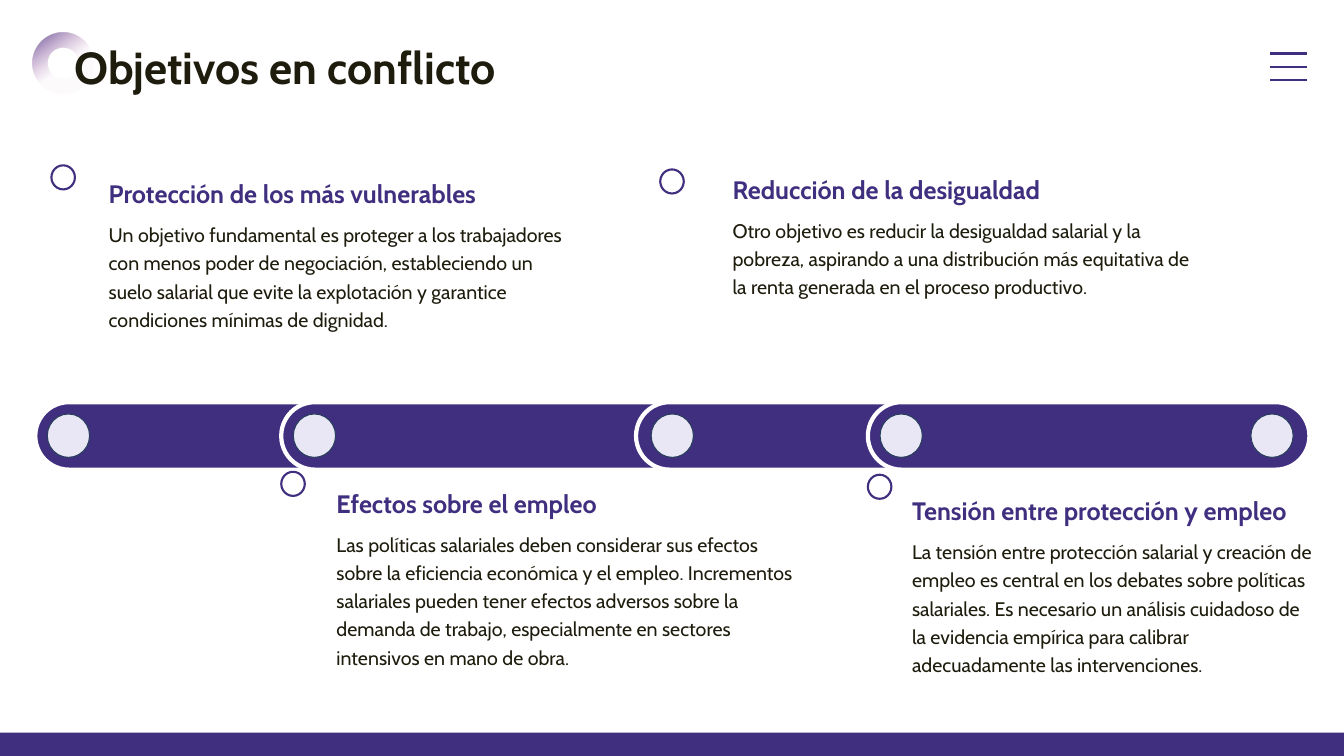
import pptx
import pptx.util
import pptx.dml.color
import pptx.enum.shapes
import pptx.enum.text
import lxml.etree
from dataclasses import dataclass

Pt = pptx.util.Pt
Shape = pptx.enum.shapes.MSO_SHAPE


@dataclass(frozen=True)
class Theme:
    font: str = "Cabin"
    purple: str = "402E7F"
    pink: str = "BC7DB7"
    lavender: str = "E9E7F6"
    slate: str = "273F5B"
    ink: str = "1E1C0D"
    white: str = "FFFFFF"
    title_size: int = 32
    heading_size: int = 18
    body_size: int = 14


THEME = Theme()
PAGE_WIDTH, PAGE_HEIGHT = 960, 540
TRACK = (25.2, 287.3, 910.1, 48.2)
SEGMENTS = [(0, 272.9), (175.7, 305.3), (429.1, 272.9), (594.7, 315.4)]
MARKERS = [8.6, 184.3, 439.9, 603.4, 868.3]

OBJECTIVES = [
    ((36.7, 118.1), (70.6, 123.8, 345.6, 156.8), "Protección de los más vulnerables",
     "Un objetivo fundamental es proteger a los trabajadores con menos poder de negociación, "
     "estableciendo un suelo salarial que evite la explotación y garantice condiciones mínimas "
     "de dignidad."),
    ((471.6, 121), (516.2, 120.7, 345.6, 156.8), "Reducción de la desigualdad",
     "Otro objetivo es reducir la desigualdad salarial y la pobreza, aspirando a una "
     "distribución más equitativa de la renta generada en el proceso productivo."),
    ((200.9, 337), (233.3, 345, 345.6, 156.8), "Efectos sobre el empleo",
     "Las políticas salariales deben considerar sus efectos sobre la eficiencia económica y el "
     "empleo. Incrementos salariales pueden tener efectos adversos sobre la demanda de trabajo, "
     "especialmente en sectores intensivos en mano de obra."),
    ((619.9, 339.1), (644.4, 350.3, 302.4, 156.8), "Tensión entre protección y empleo",
     "La tensión entre protección salarial y creación de empleo es central en los debates sobre "
     "políticas salariales. Es necesario un análisis cuidadoso de la evidencia empírica para "
     "calibrar adecuadamente las intervenciones."),
]


def rgb(color):
    return pptx.dml.color.RGBColor.from_string(color)


def add_figure(page, kind, box, fill=None, line=None, line_width=1.5):
    figure = page.shapes.add_shape(kind, *map(Pt, box))
    figure.shadow.inherit = False
    if fill:
        figure.fill.solid()
        figure.fill.fore_color.rgb = rgb(fill)
    else:
        figure.fill.background()
    if line:
        figure.line.color.rgb = rgb(line)
        figure.line.width = Pt(line_width)
    else:
        figure.line.fill.background()
    return figure


def add_text(page, box, text, size, color, bold=False, spacing=None):
    frame = page.shapes.add_textbox(*map(Pt, box)).text_frame
    frame.word_wrap = True
    frame.vertical_anchor = pptx.enum.text.MSO_ANCHOR.TOP
    para = frame.paragraphs[0]
    para.text = text
    para.line_spacing = spacing
    para.font.name = THEME.font
    para.font.size = Pt(size)
    para.font.bold = bold
    para.font.color.rgb = rgb(color)


def add_title(page, box):
    left, top, width, height = box
    donut = add_figure(page, Shape.DONUT, (left, top, 44, 44))
    donut.rotation = 99
    donut.fill.gradient()
    donut.fill.gradient_angle = 45
    stops = donut.fill.gradient_stops
    for stop, color, position in zip(stops, (THEME.purple, THEME.pink), (0, 0.54)):
        stop.color.rgb = rgb(color)
        stop.position = position
    faded = donut.fill.gradient_stops and donut.element.xpath(".//a:gs/a:srgbClr")[-1]
    alpha = lxml.etree.SubElement(faded, pptx.oxml.ns.qn("a:alpha"))
    alpha.set("val", "3000")
    add_text(page, (left + 23, top + 1.5, width - 23, height), "Objetivos en conflicto",
             THEME.title_size, THEME.ink, bold=True)


def add_menu_icon(page, box):
    left, top, width, height = box
    for row in range(3):
        y = top + row * height / 2
        line = page.shapes.add_connector(pptx.enum.shapes.MSO_CONNECTOR.STRAIGHT,
                                         Pt(left), Pt(y), Pt(left + width), Pt(y))
        line.line.color.rgb = rgb(THEME.purple)
        line.line.width = Pt(1.5)
        lxml.etree.SubElement(line.element.spPr, pptx.oxml.ns.qn("a:effectLst"))


def add_track(page, box):
    left, top, width, height = box
    for offset, length in SEGMENTS:
        segment = add_figure(page, Shape.ROUNDED_RECTANGLE, (left + offset, top, length, height),
                             THEME.purple, THEME.white, 3)
        segment.adjustments[0] = 0.5
    for offset in MARKERS:
        add_figure(page, Shape.OVAL, (left + offset, top + 8.4, 30.2, 31),
                   THEME.lavender, THEME.slate, 0.75)


def add_objective(page, ring, box, heading, body):
    left, top, width, height = box
    add_figure(page, Shape.OVAL, (*ring, 16.8, 17.2), line=THEME.purple)
    add_text(page, (left, top, width, 33.8), heading,
             THEME.heading_size, THEME.purple, bold=True)
    add_text(page, (left, top + 28.6, width, height - 28.6), body,
             THEME.body_size, THEME.ink, spacing=1.2)


def add_footer(page, box):
    add_figure(page, Shape.RECTANGLE, box, THEME.purple)


def main():
    deck = pptx.Presentation()
    deck.slide_width, deck.slide_height = Pt(PAGE_WIDTH), Pt(PAGE_HEIGHT)
    page = deck.slides.add_slide(deck.slide_layouts[6])
    add_title(page, (23, 23, 707, 46))
    add_menu_icon(page, (907.2, 38.2, 26.6, 19.2))
    add_track(page, TRACK)
    for objective in OBJECTIVES:
        add_objective(page, *objective)
    add_footer(page, (0, 523.4, PAGE_WIDTH, PAGE_HEIGHT - 523.4))
    deck.save("out.pptx")


if __name__ == "__main__":
    main()
